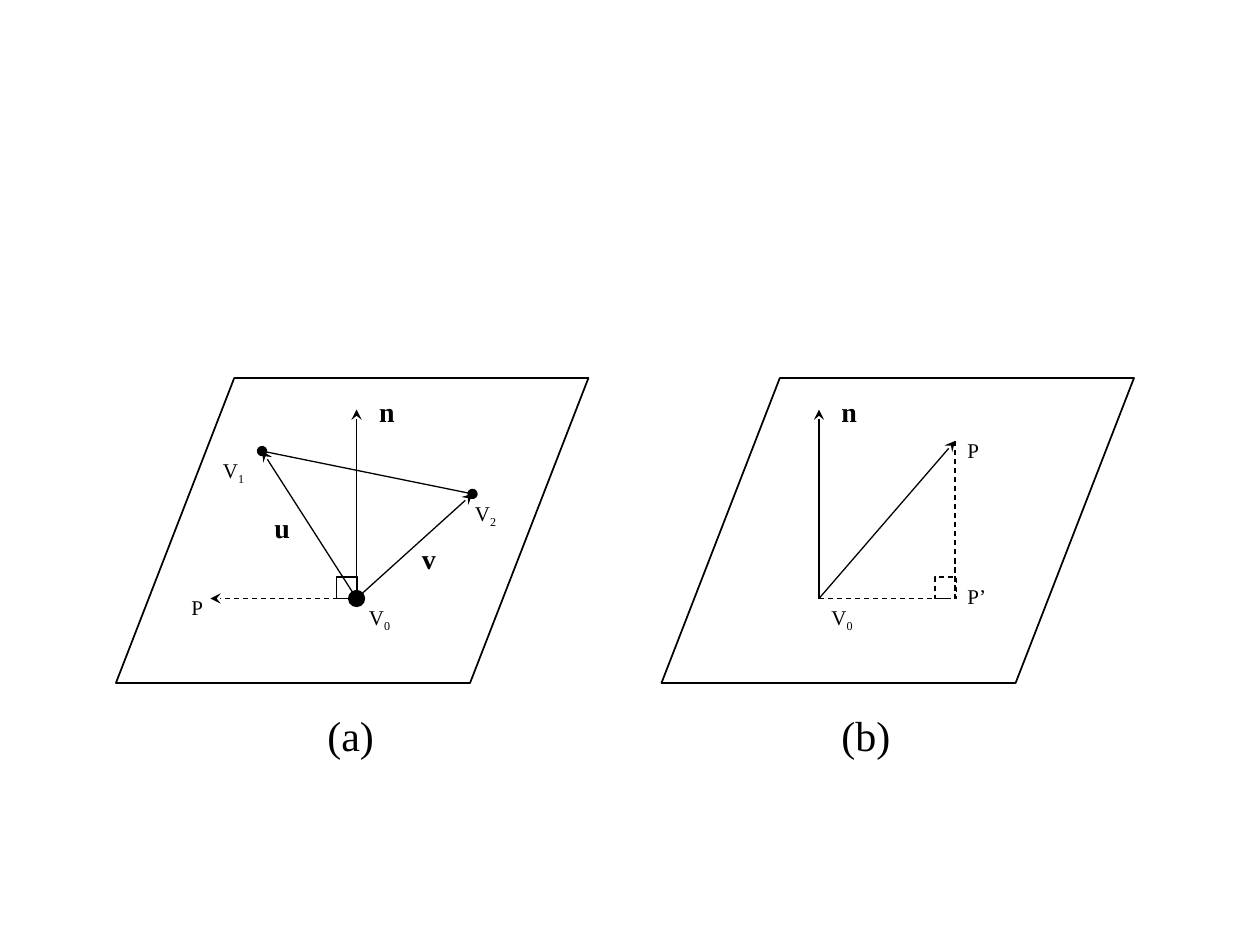
from lxml import etree
from pptx import Presentation
from pptx.dml.color import RGBColor
from pptx.enum import dml, shapes, text
from pptx.oxml import ns
from pptx.util import Inches, Pt

INK = {"line": "000000", "text": "000000"}
FONT = "Times New Roman"


def draw(line, width, dash=False):
    """Style an outline."""
    line.color.rgb = RGBColor.from_string(INK["line"])
    line.width = Pt(width)
    if dash:
        line.dash_style = dml.MSO_LINE.DASH


def outline(group, kind, x, y, w, h, width=0.75, dash=False):
    """Add an unfilled preset shape."""
    shape = group.shapes.add_shape(kind, Inches(x), Inches(y), Inches(w), Inches(h))
    shape.shadow.inherit = False
    shape.fill.background()
    draw(shape.line, width, dash)
    return shape


def plane(group, x):
    """Add the slanted plane."""
    shape = outline(group, shapes.MSO_SHAPE.PARALLELOGRAM, x, 3, 3.75, 2.42, 1)
    shape.adjustments[0] = 0.388


def corner(group, x, dash=False):
    """Add a right-angle mark."""
    outline(group, shapes.MSO_SHAPE.RECTANGLE, x, 4.58, 0.17, 0.17, dash=dash)


def ray(group, start, end, head=None, tail="stealth", dash=False, size="med"):
    """Add a straight line with optional end marks."""
    points = [Inches(v) for v in (*start, *end)]
    item = group.shapes.add_connector(shapes.MSO_CONNECTOR.STRAIGHT, *points)
    draw(item.line, 0.75, dash)
    props = item._element.spPr
    etree.SubElement(props, ns.qn("a:effectLst"))
    edge = props.find(ns.qn("a:ln"))
    for tag, kind, scale in (("a:headEnd", head, size), ("a:tailEnd", tail, "med")):
        if kind:
            etree.SubElement(edge, ns.qn(tag), type=kind, w=scale, len=scale)


def label(parent, words, x, y, w=0.58, h=0.3, size=12, bold=False, sub=""):
    """Add a label with an optional subscript."""
    box = parent.shapes.add_textbox(Inches(x), Inches(y), Inches(w), Inches(h))
    frame = box.text_frame
    frame.word_wrap = True
    frame.auto_size = text.MSO_AUTO_SIZE.SHAPE_TO_FIT_TEXT
    para = frame.paragraphs[0]
    para.text = words
    para.space_before = Pt(size * 0.625)
    if sub:
        low = para.add_run()
        low.text = sub
        low.font._element.set("baseline", "-25000")
    for run in para.runs:
        run.font.name = FONT
        run.font.size = Pt(size)
        run.font.bold = bold
        run.font.color.rgb = RGBColor.from_string(INK["text"])


def vector(group, name, x, y):
    """Add a bold vector name."""
    label(group, name, x, y, h=0.37, size=16, bold=True)


def vertex(group, sub, x, y):
    """Add a numbered vertex name."""
    label(group, "V", x, y, h=0.33, sub=sub)


def normal(group, base):
    """Add the normal vector and the names at its ends."""
    x, y = base
    ray(group, base, (x, 3.25))
    vertex(group, "0", x, y)
    vector(group, "n", x + 0.08, 3.08)


def triangle(slide):
    """Draw the triangle lying in its plane."""
    group = slide.shapes.add_group_shape()
    base, left, right = (2.83, 4.75), (2.08, 3.58), (3.75, 3.92)
    plane(group, 0.92)
    ray(group, base, left, head="oval", size="lg")
    ray(group, left, right, head="oval", tail="oval")
    ray(group, base, (1.67, 4.75), dash=True)
    ray(group, base, right)
    normal(group, base)
    vertex(group, "1", 1.67, 3.58)
    vertex(group, "2", 3.67, 3.92)
    label(group, "P", 1.42, 4.67)
    vector(group, "u", 2.08, 4)
    vector(group, "v", 3.25, 4.25)
    corner(group, 2.67)


def project(slide):
    """Draw the point projected onto its plane."""
    group = slide.shapes.add_group_shape()
    base, point, foot = (6.5, 4.75), (7.58, 3.5), (7.58, 4.75)
    plane(group, 5.25)
    normal(group, base)
    ray(group, base, point)
    corner(group, 7.42, dash=True)
    for start in (point, base):
        ray(group, start, foot, tail=None, dash=True)
    label(group, "P", 7.58, 3.42, w=0.42)
    label(group, "P’", 7.58, 4.58, w=0.42)


def main():
    """Build and save the slide."""
    deck = Presentation()
    deck.slide_width, deck.slide_height = Inches(10), Inches(7.5)
    slide = deck.slides.add_slide(deck.slide_layouts[6])
    triangle(slide)
    project(slide)
    for words, x in (("(a)", 2.5), ("(b)", 6.58)):
        label(slide, words, x, 5.58, w=0.75, h=0.5, size=24)
    deck.save("out.pptx")


if __name__ == "__main__":
    main()
